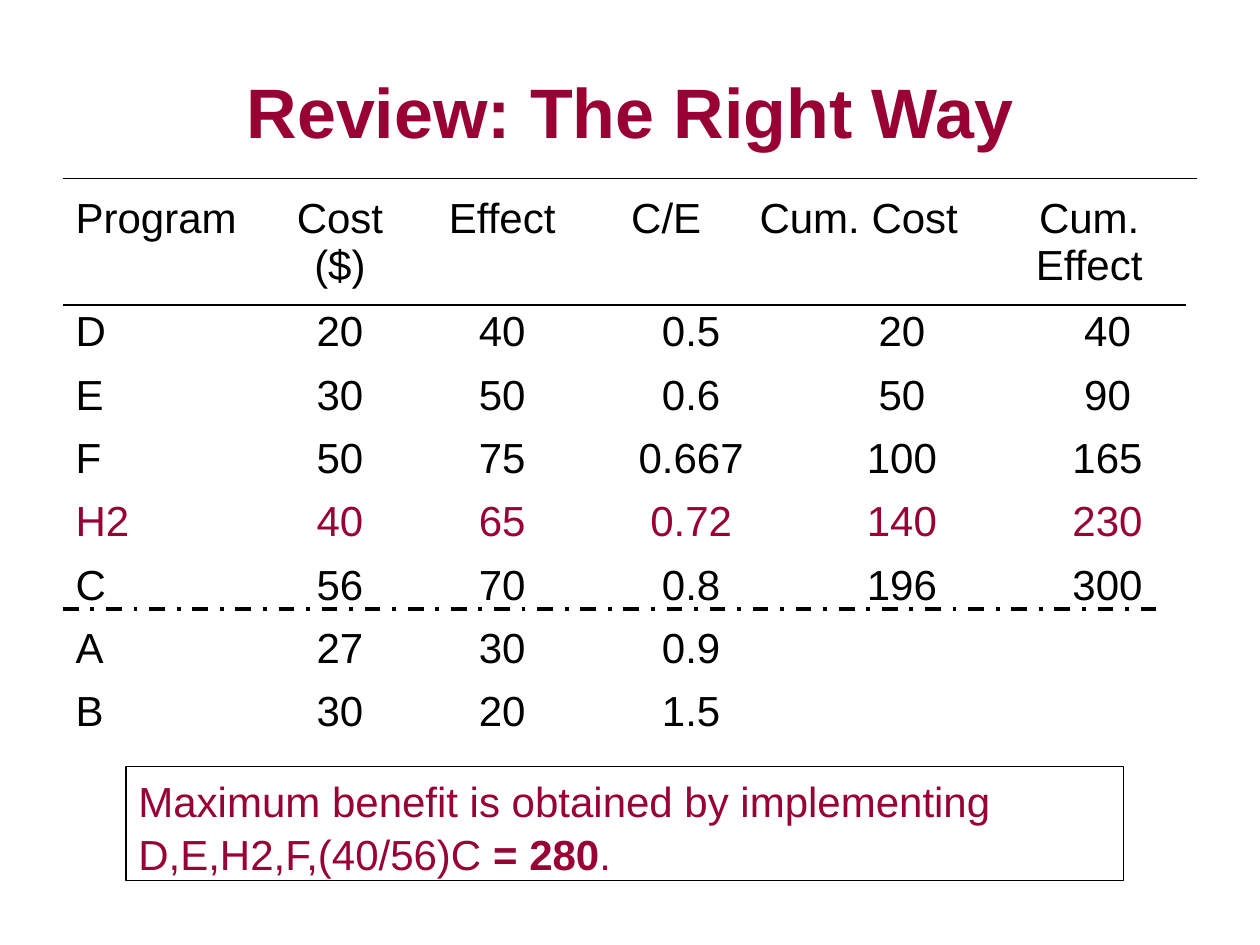
"""Build the programme ranking slide with its cost and effect table."""
from pptx import Presentation
from pptx.dml.color import RGBColor
from pptx.enum.dml import MSO_LINE
from pptx.enum.shapes import MSO_CONNECTOR, MSO_SHAPE
from pptx.enum.text import MSO_ANCHOR, PP_ALIGN
from pptx.oxml.ns import qn
from pptx.oxml.xmlchemy import OxmlElement
from pptx.util import Pt

COLORS = {"black": "000000", "crimson": "990033"}
TITLE = "Review: The Right Way"
HEADER = ["Program", "Cost ($)", "Effect", "C/E", "Cum. Cost", "Cum. Effect"]
PROGRAMS = [
    ["D", "20", "40", "0.5", "20", "40"],
    ["E", "30", "50", "0.6", "50", "90"],
    ["F", "50", "75", "0.667", "100", "165"],
    ["H2", "40", "65", "0.72", "140", "230"],
    ["C", "56", "70", "0.8", "196", "300"],
    ["A", "27", "30", "0.9", "", ""],
    ["B", "30", "20", "1.5", "", ""],
]
HIGHLIGHTED = "H2"
CONCLUSION = [
    ("Maximum benefit is obtained by implementing D,E,H2,F,(40/56)C ", False),
    ("= 280", True),
    (".", False),
]
COLUMN_WIDTHS = [113.5, 89.5, 96, 91.5, 28.5, 100, 21, 114]
ROW_HEIGHTS = [64.8] + [36.2] * 6 + [41]
HEADER_SPANS = [(0, 0), (1, 1), (2, 2), (3, 3), (4, 5), (6, 7)]
PROGRAM_SPANS = [(0, 0), (1, 1), (2, 2), (3, 4), (5, 6), (7, 7)]
LEFT = 36
HEADER_RULES = [(174.4, 678), (102, 684)]
CUTOFF_RULE = (348, 666)
NO_STYLE = "{2D5ABB26-0587-4C30-8999-92F81FD0307C}"


def rgb(name):
    return RGBColor.from_string(COLORS[name])


def set_values(target, **values):
    for name, value in values.items():
        setattr(target, name, value)


def style_font(font, color, size=24, bold=False):
    set_values(font, name="Arial", size=Pt(size), bold=bold)
    font.color.rgb = rgb(color)


def place(shape, left, top, width, height):
    set_values(shape, left=Pt(left), top=Pt(top), width=Pt(width), height=Pt(height))


def add_title(slide):
    title = slide.shapes.title
    place(title, 54, 24, 612, 78)
    title.text_frame.text = TITLE
    set_values(title.text_frame, vertical_anchor=MSO_ANCHOR.MIDDLE, word_wrap=True)
    paragraph = title.text_frame.paragraphs[0]
    paragraph.alignment = PP_ALIGN.CENTER
    style_font(paragraph.runs[0].font, "crimson", 40, True)


def add_program_table(slide):
    rows = [HEADER] + PROGRAMS
    frame = slide.shapes.add_table(
        len(rows), len(COLUMN_WIDTHS), Pt(LEFT), Pt(108),
        Pt(sum(COLUMN_WIDTHS)), Pt(sum(ROW_HEIGHTS)))
    table = frame.table
    set_values(table, first_row=False, horz_banding=False)
    table._tbl.tblPr.find(qn("a:tableStyleId")).text = NO_STYLE
    for column, width in zip(table.columns, COLUMN_WIDTHS):
        column.width = Pt(width)
    for row, height in zip(table.rows, ROW_HEIGHTS):
        row.height = Pt(height)
    for cell in table.iter_cells():
        cell.fill.background()
    for row_index, values in enumerate(rows):
        color = "crimson" if values[0] == HIGHLIGHTED else "black"
        spans = PROGRAM_SPANS if row_index else HEADER_SPANS
        for value, (first, last) in zip(values, spans):
            cell = table.cell(row_index, first)
            if last > first:
                cell.merge(table.cell(row_index, last))
            cell.text = value
            paragraph = cell.text_frame.paragraphs[0]
            paragraph.alignment = PP_ALIGN.CENTER if first else PP_ALIGN.LEFT
            style_font(paragraph.font, color)
            for run in paragraph.runs:
                style_font(run.font, color)


def add_rule(slide, top, right, width=1, dash=None):
    rule = slide.shapes.add_connector(
        MSO_CONNECTOR.STRAIGHT, Pt(LEFT), Pt(top), Pt(right), Pt(top))
    rule.line.color.rgb = rgb("black")
    set_values(rule.line, width=Pt(width), dash_style=dash)
    rule._element.spPr.append(OxmlElement("a:effectLst"))


def add_conclusion(slide):
    box = slide.shapes.add_shape(
        MSO_SHAPE.RECTANGLE, Pt(72), Pt(438), Pt(570), Pt(65))
    box.shadow.inherit = False
    box.fill.background()
    box.line.color.rgb = rgb("black")
    box.line.width = Pt(0.75)
    set_values(box.text_frame, word_wrap=True, vertical_anchor=MSO_ANCHOR.TOP)
    paragraph = box.text_frame.paragraphs[0]
    set_values(paragraph, alignment=PP_ALIGN.LEFT, line_spacing=1.05)
    for text, bold in CONCLUSION:
        run = paragraph.add_run()
        run.text = text
        style_font(run.font, "crimson", bold=bold)


def main():
    presentation = Presentation()
    set_values(presentation, slide_width=Pt(720), slide_height=Pt(540))
    slide = presentation.slides.add_slide(presentation.slide_layouts[5])
    add_title(slide)
    add_program_table(slide)
    for top, right in HEADER_RULES:
        add_rule(slide, top, right)
    add_conclusion(slide)
    add_rule(slide, *CUTOFF_RULE, width=2.25, dash=MSO_LINE.DASH_DOT)
    presentation.save("out.pptx")


if __name__ == "__main__":
    main()
